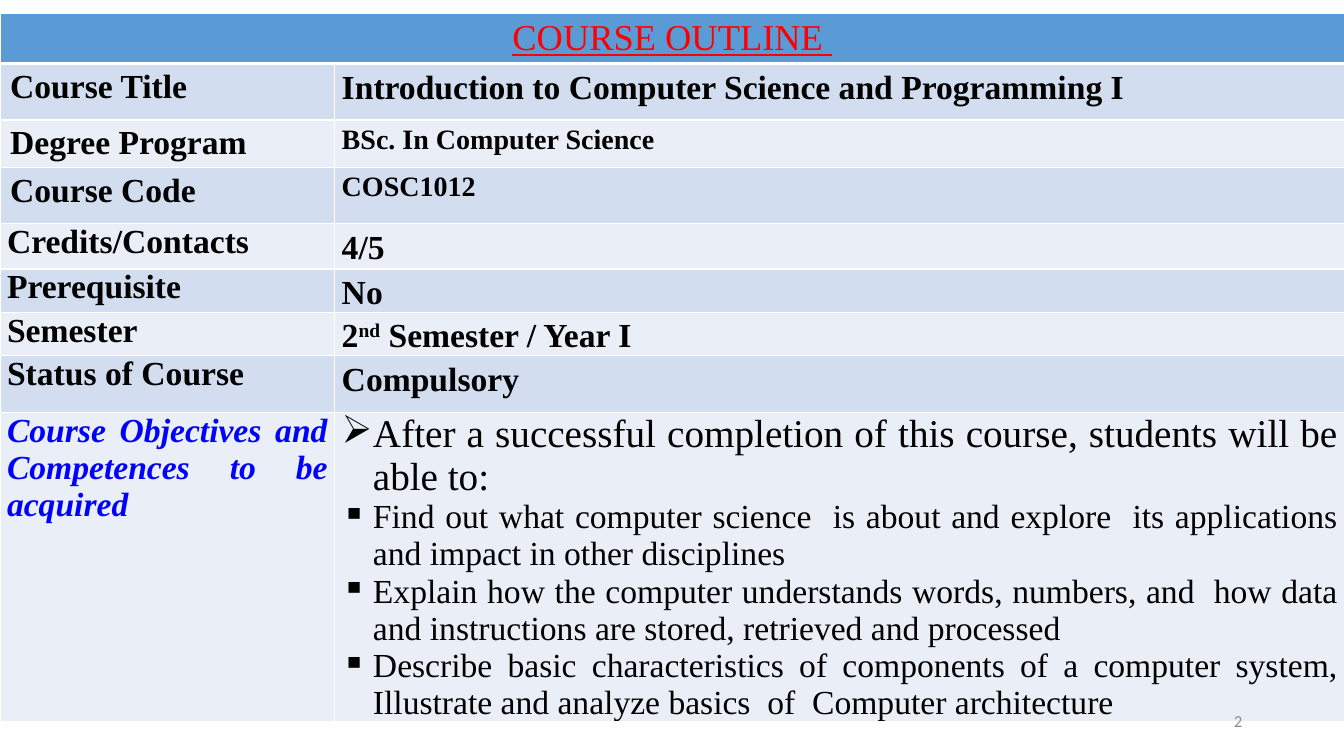
import dataclasses

import lxml.etree
import pptx
import pptx.dml.color
import pptx.enum.text
import pptx.oxml.ns
import pptx.util

PX = 9144
ALIGN = pptx.enum.text.PP_ALIGN


@dataclasses.dataclass(frozen=True)
class Theme:
    """Hold the colours, fonts and type sizes of the slide."""
    font: str = "Times New Roman"
    number_font: str = "Calibri"
    header: str = "5B9BD5"
    bands: tuple = ("D2DEEF", "EAEFF7")
    rule: str = "FFFFFF"
    text: str = "000000"
    title: str = "FF0000"
    accent: str = "0000FF"
    muted: str = "8C8C8C"
    lead_pt: int = 28
    title_pt: int = 26
    body_pt: int = 24
    small_pt: int = 20
    number_pt: int = 12


THEME = Theme()
COLUMNS = (332, 1002)
HEADER_HEIGHT = 50
OBJECTIVES_HEIGHT = 307
ROOMY = (10, 5)
TIGHT = (7, 0)
FACTS = (
    ("Course Title", (("Introduction to Computer Science and Programming I", 0),),
     THEME.body_pt, 56, ROOMY),
    ("Degree Program ", (("BSc. In Computer Science", 0),), THEME.small_pt, 46, ROOMY),
    ("Course Code ", (("COSC1012", 0),), THEME.small_pt, 56, ROOMY),
    ("Credits/Contacts", (("4/5", 0),), THEME.body_pt, 45, TIGHT),
    ("Prerequisite", (("No", 0),), THEME.body_pt, 43, TIGHT),
    ("Semester", (("2", 0), ("nd", 30), (" Semester / Year I", 0)),
     THEME.body_pt, 43, TIGHT),
    ("Status of Course", (("Compulsory", 0),), THEME.body_pt, 56, TIGHT),
)
LEAD = "After a successful completion of this course, students will be able to:"
OBJECTIVES = (
    "Find out what computer science  is about and explore  its applications "
    "and impact in other disciplines",
    "Explain how the computer understands words, numbers, and  how data "
    "and instructions are stored, retrieved and processed ",
    "Describe basic characteristics of components of a computer system, "
    "Illustrate and analyze basics  of  Computer architecture",
)


def px(n):
    """Turn pixels into EMU."""
    return pptx.util.Emu(n * PX)


def rgb(value):
    """Turn a hex string into a colour."""
    return pptx.dml.color.RGBColor.from_string(value)


def add_text(p, text, size=THEME.body_pt, color=THEME.text, font=THEME.font,
             bold=False, italic=False, underline=False, raised=0, align=ALIGN.JUSTIFY):
    """Add a formatted run to a paragraph."""
    p.alignment = align
    r = p.add_run()
    r.text = text
    r.font.name = font
    r.font.size = pptx.util.Pt(size)
    r.font.bold, r.font.italic, r.font.underline = bold, italic, underline
    r.font.color.rgb = rgb(color)
    if raised:
        r.font._element.set("baseline", str(raised * 1000))


def add_bullet(p, mark, indent=31):
    """Give a paragraph a bullet and a hanging indent."""
    ppr = p._p.get_or_add_pPr()
    ppr.set("marL", str(px(indent)))
    ppr.set("indent", str(-px(indent)))
    lxml.etree.SubElement(ppr, pptx.oxml.ns.qn("a:buChar"), char=mark)


def style_cell(cell, fill, inset=TIGHT, bottom=1):
    """Set the margins, fill and borders of a cell and return its first paragraph."""
    cell.margin_left = cell.margin_right = px(inset[0])
    cell.margin_top = cell.margin_bottom = px(inset[1])
    cell.fill.solid()
    cell.fill.fore_color.rgb = rgb(fill)
    qn = pptx.oxml.ns.qn
    for i, (side, width) in enumerate((("L", 1), ("R", 1), ("T", 1), ("B", bottom))):
        ln = lxml.etree.Element(qn(f"a:ln{side}"), w=str(pptx.util.Pt(width)))
        solid = lxml.etree.SubElement(ln, qn("a:solidFill"))
        lxml.etree.SubElement(solid, qn("a:srgbClr"), val=THEME.rule)
        cell._tc.get_or_add_tcPr().insert(i, ln)
    return cell.text_frame.paragraphs[0]


def add_outline_table(s):
    """Add the empty course table with its row and column sizes."""
    heights = [HEADER_HEIGHT, *(fact[3] for fact in FACTS), OBJECTIVES_HEIGHT]
    table = s.shapes.add_table(len(heights), len(COLUMNS), px(0), px(13),
                               px(sum(COLUMNS)), px(sum(heights))).table
    for column, width in zip(table.columns, COLUMNS):
        column.width = px(width)
    for row, height in zip(table.rows, heights):
        row.height = px(height)
    return table


def fill_header(table):
    """Write the merged header row."""
    table.cell(0, 0).merge(table.cell(0, 1))
    for column in range(len(COLUMNS)):
        p = style_cell(table.cell(0, column), THEME.header, ROOMY, bottom=3)
        if column == 0:
            add_text(p, "COURSE OUTLINE ", size=THEME.title_pt, color=THEME.title,
                     underline=True, align=ALIGN.CENTER)


def fill_facts(table):
    """Write one label and value per row."""
    for i, (label, parts, size, _, inset) in enumerate(FACTS):
        band = THEME.bands[i % 2]
        add_text(style_cell(table.cell(i + 1, 0), band, inset), label, bold=True)
        p = style_cell(table.cell(i + 1, 1), band)
        p.line_spacing = 1.15
        for text, raised in parts:
            add_text(p, text, size=size, bold=True, raised=raised)


def fill_objectives(table):
    """Write the last row with its bulleted list."""
    row = len(FACTS) + 1
    band = THEME.bands[len(FACTS) % 2]
    add_text(style_cell(table.cell(row, 0), band),
             "Course Objectives and Competences to be acquired",
             color=THEME.accent, bold=True, italic=True)
    cell = table.cell(row, 1)
    p = style_cell(cell, band)
    add_text(p, LEAD, size=THEME.lead_pt)
    add_bullet(p, "➢")
    for text in OBJECTIVES:
        p = cell.text_frame.add_paragraph()
        add_text(p, text)
        add_bullet(p, "▪")


def add_page_number(s, number):
    """Add the page number at the lower right."""
    tf = s.shapes.add_textbox(px(942), px(695), px(300), px(40)).text_frame
    tf.word_wrap = True
    tf.vertical_anchor = pptx.enum.text.MSO_ANCHOR.MIDDLE
    add_text(tf.paragraphs[0], number, size=THEME.number_pt, color=THEME.muted,
             font=THEME.number_font, align=ALIGN.RIGHT)


def main():
    """Build and save the course outline slide."""
    prs = pptx.Presentation()
    prs.slide_width, prs.slide_height = px(1333), px(750)
    s = prs.slides.add_slide(prs.slide_layouts[6])
    table = add_outline_table(s)
    fill_header(table)
    fill_facts(table)
    fill_objectives(table)
    add_page_number(s, "2")
    prs.save("out.pptx")


if __name__ == "__main__":
    main()
